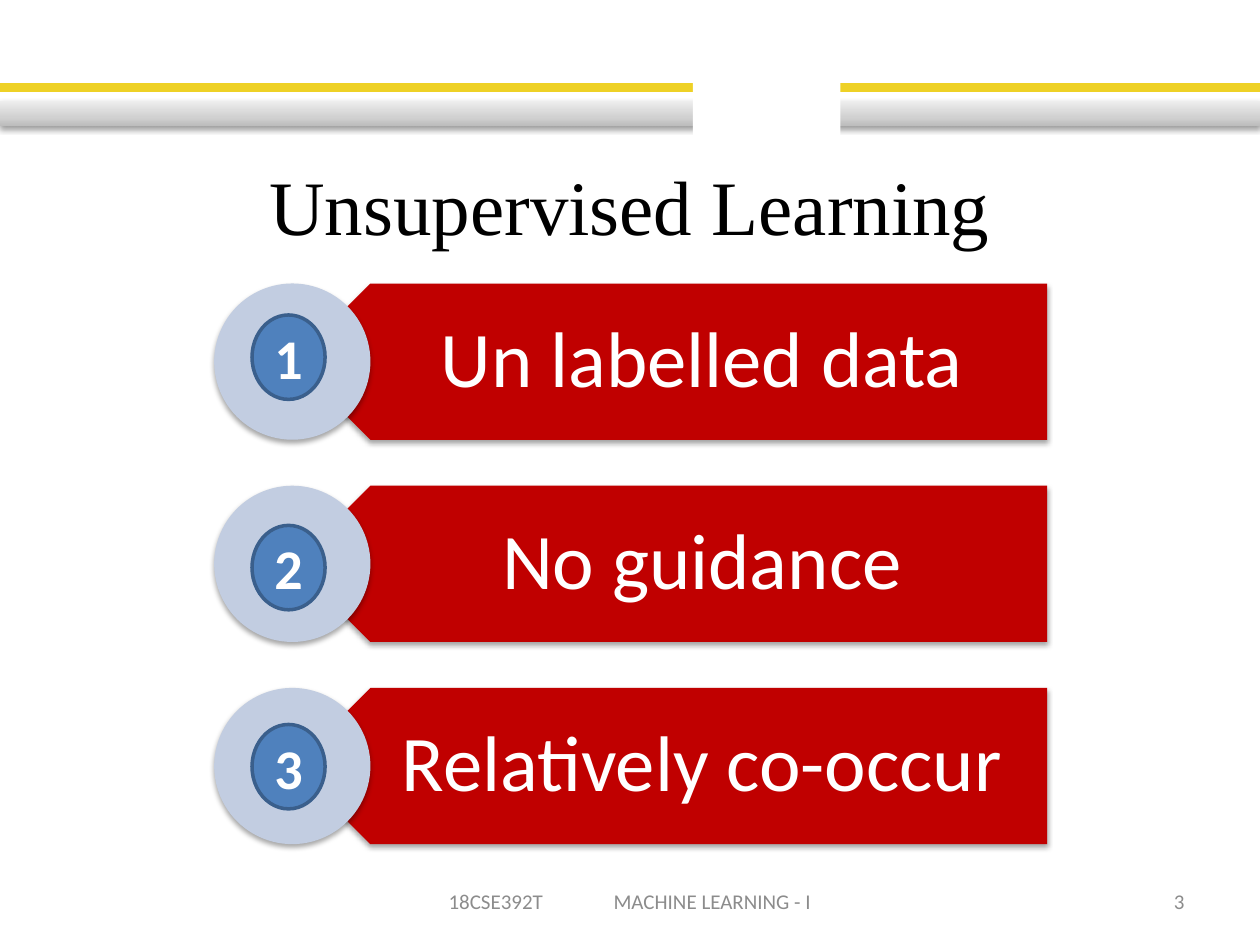
import lxml.etree
import pptx
import pptx.dml.color
import pptx.enum.shapes
import pptx.enum.text
import pptx.oxml.ns
import pptx.util

Inches = pptx.util.Inches
Pt = pptx.util.Pt
SHAPE = pptx.enum.shapes.MSO_SHAPE
ALIGN = pptx.enum.text.PP_ALIGN
qn = pptx.oxml.ns.qn

COLORS = {
    "yellow": "EED126", "white": "FFFFFF", "black": "000000",
    "red": "C00000", "pale": "C2CDE1", "blue": "4F81BD",
    "outline": "3A5F8C", "gray": "8C8C8C",
}


def add_shape(shapes, kind, place, fill, line=None, shadow=None):
    """Add a filled shape; shadow is (opacity %, distance in points)."""
    shape = shapes.add_shape(kind, *map(Inches, place))
    shape.fill.solid()
    shape.fill.fore_color.rgb = pptx.dml.color.RGBColor.from_string(COLORS[fill])
    if line:
        shape.line.color.rgb = pptx.dml.color.RGBColor.from_string(COLORS[line])
        shape.line.width = Pt(2)
    else:
        shape.line.fill.background()
    shape.shadow.inherit = False
    if shadow:
        opacity, distance = shadow
        effects = shape._element.spPr.find(qn("a:effectLst"))
        outer = lxml.etree.SubElement(
            effects, qn("a:outerShdw"), blurRad=str(Pt(3.1)),
            dist=str(Pt(distance)), dir="5400000", rotWithShape="0")
        color = lxml.etree.SubElement(outer, qn("a:srgbClr"), val=COLORS["black"])
        lxml.etree.SubElement(color, qn("a:alpha"), val=str(opacity * 1000))
    return shape


def write(box, text, size, color, align=ALIGN.CENTER, font="Calibri",
          insets=(0.1, 0.05, 0.1, 0.05)):
    """Write one vertically centred paragraph; insets run left, top, right, bottom."""
    frame = box.text_frame
    frame.word_wrap = True
    frame.vertical_anchor = pptx.enum.text.MSO_ANCHOR.MIDDLE
    (frame.margin_left, frame.margin_top,
     frame.margin_right, frame.margin_bottom) = map(Inches, insets)
    para = frame.paragraphs[0]
    para.text = text
    para.alignment = align
    para.font.name = font
    para.font.size = Pt(size)
    para.font.color.rgb = pptx.dml.color.RGBColor.from_string(COLORS[color])
    return para


deck = pptx.Presentation()
deck.slide_width = Inches(10)
deck.slide_height = Inches(7.5)
page = deck.slides.add_slide(deck.slide_layouts[6])

# Header bands with a white gap
add_shape(page.shapes, SHAPE.RECTANGLE, (0, 0.67, 10, 0.05), "yellow", "yellow")
band = add_shape(page.shapes, SHAPE.RECTANGLE, (0, 0.8, 10, 0.2), "white",
                 shadow=(38, 1.6))
band.fill.gradient()
band.fill.gradient_angle = 90
stops = band._element.spPr.find(qn("a:gradFill")).find(qn("a:gsLst"))
for stop in list(stops):
    stops.remove(stop)
for position, shade in ((0, "BDBDBD"), (35, "D1D1D1"), (100, "EEEEEE")):
    stop = lxml.etree.SubElement(stops, qn("a:gs"), pos=str(position * 1000))
    lxml.etree.SubElement(stop, qn("a:srgbClr"), val=shade)
add_shape(page.shapes, SHAPE.ROUNDED_RECTANGLE, (5.5, 0.5, 1.17, 0.67), "white")

title = page.shapes.add_textbox(Inches(0.5), Inches(1), Inches(9), Inches(1.25))
write(title, "Unsupervised Learning", 44, "black", font="Times New Roman")

# Three points, each an arrow bar with a disc at its tip
points = ["Un labelled data", "No guidance", "Relatively co-occur"]
bar_height = 1.24
group = page.shapes.add_group_shape()
for index, point in enumerate(points):
    top = 2.25 + index * 1.605
    bar = add_shape(group.shapes, SHAPE.PENTAGON, (2.32, top, 5.99, bar_height),
                    "red", shadow=(35, 1.8))
    bar.rotation = 180
    label = group.shapes.add_textbox(Inches(2.63), Inches(top),
                                     Inches(5.68), Inches(bar_height))
    para = write(label, point, 45, "white", insets=(0.55, 0.19, 0.35, 0.19))
    para.line_spacing = 0.9
    add_shape(group.shapes, SHAPE.OVAL, (1.7, top, bar_height, bar_height),
              "pale", shadow=(35, 1.8))

# Footer
footer = page.shapes.add_textbox(Inches(3.42), Inches(6.95), Inches(3.17), Inches(0.4))
para = write(footer, "18CSE392T\tMACHINE LEARNING - I", 12, "gray", ALIGN.LEFT,
             insets=(0.14, 0.05, 0.1, 0.05))
tabs = lxml.etree.Element(qn("a:tabLst"))
lxml.etree.SubElement(tabs, qn("a:tab"), pos=str(Inches(1.31)), algn="l")
para._p.get_or_add_pPr().insert(0, tabs)
number = page.shapes.add_textbox(Inches(7.17), Inches(6.95), Inches(2.33), Inches(0.4))
write(number, "3", 12, "gray", ALIGN.RIGHT)

# Number badges
for index, top in enumerate((2.5, 4.17, 5.75), start=1):
    badge = add_shape(page.shapes, SHAPE.OVAL, (2, top, 0.58, 0.67), "blue", "outline")
    para = write(badge, str(index), 32, "white", insets=(0, 0.05, 0, 0.05))
    para.font.bold = True

deck.save("out.pptx")
